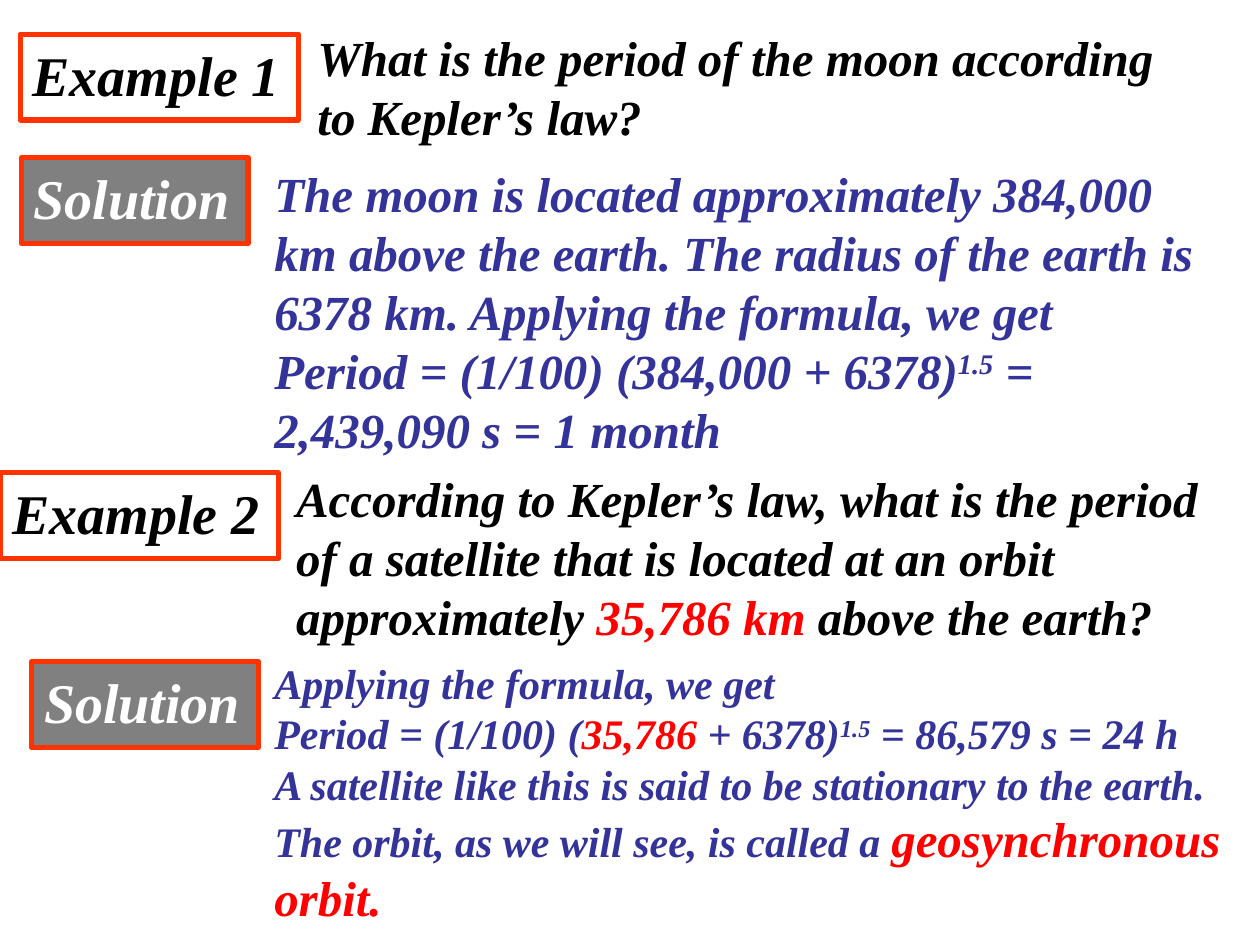
from pptx import Presentation
from pptx.dml.color import RGBColor
from pptx.enum import shapes, text
from pptx.util import Cm, Pt

BLACK = RGBColor(0, 0, 0)
WHITE = RGBColor(255, 255, 255)
GRAY = RGBColor(128, 128, 128)
ORANGE = RGBColor(255, 51, 0)
INDIGO = RGBColor(51, 51, 153)
RED = RGBColor(255, 0, 0)
FONT = "Times New Roman"
SUPERSCRIPT = "30000"
LABEL_HEIGHT = 1.73

LABELS = [
    ("Example 1", 0.41, 0.69, 5.61, WHITE, BLACK),
    ("Solution", 0.43, 3.18, 4.57, GRAY, WHITE),
    ("Example 2", 0, 9.53, 5.61, WHITE, BLACK),
    ("Solution", 0.64, 13.34, 4.57, GRAY, WHITE),
]

QUESTION_1 = [["What is the period of the moon according to Kepler’s law?"]]
ANSWER_1 = [
    ["The moon is located approximately 384,000 km above the earth. "
     "The radius of the earth is 6378 km. Applying the formula, we get"],
    ["Period = (1/100) (384,000 + 6378)", ("1.5", {"raised": True}),
     " = 2,439,090 s = 1 month"],
]
QUESTION_2 = [
    ["According to Kepler’s law, what is the period of a satellite "
     "that is located at an orbit approximately ",
     ("35,786 km", {"color": RED}), " above the earth?"],
]
ANSWER_2 = [
    ["Applying the formula, we get"],
    ["Period = (1/100) (", ("35,786", {"color": RED}), " + 6378)",
     ("1.5", {"raised": True}), " = 86,579 s = 24 h"],
    ["A satellite like this is said to be stationary to the earth. "
     "The orbit, as we will see, is called a ",
     ("geosynchronous orbit.", {"color": RED, "size": 28})],
]

PASSAGES = [
    (QUESTION_1, (6.15, 0.43, 17.98, 2.62), 28, BLACK),
    (ANSWER_1, (5.28, 3.18, 19.05, 6.2), 28, INDIGO),
    (QUESTION_2, (5.72, 9.32, 19.25, 3.81), 28, BLACK),
    (ANSWER_2, (5.28, 13.13, 19.69, 5.66), 24, INDIGO),
]


def write(frame, paragraphs, size, color):
    frame.vertical_anchor = text.MSO_ANCHOR.TOP
    frame.auto_size = text.MSO_AUTO_SIZE.SHAPE_TO_FIT_TEXT
    for index, pieces in enumerate(paragraphs):
        paragraph = frame.paragraphs[0] if index == 0 else frame.add_paragraph()
        paragraph.alignment = text.PP_ALIGN.LEFT
        font = paragraph.font
        font.name, font.size = FONT, Pt(size)
        font.bold = font.italic = True
        font.color.rgb = color
        for piece in pieces:
            words, style = (piece, {}) if isinstance(piece, str) else piece
            run = paragraph.add_run()
            run.text = words
            run.font.color.rgb = style.get("color", color)
            if "size" in style:
                run.font.size = Pt(style["size"])
            if style.get("raised"):
                run.font._element.set("baseline", SUPERSCRIPT)


def add_label(slide, words, left, top, width, fill, color):
    label = slide.shapes.add_shape(
        shapes.MSO_SHAPE.RECTANGLE, Cm(left), Cm(top), Cm(width), Cm(LABEL_HEIGHT))
    label.shadow.inherit = False
    label.fill.solid()
    label.fill.fore_color.rgb = fill
    label.line.color.rgb = ORANGE
    label.line.width = Pt(3)
    label.text_frame.word_wrap = False
    write(label.text_frame, [[words]], 32, color)


def add_passage(slide, paragraphs, place, size, color):
    passage = slide.shapes.add_textbox(*map(Cm, place))
    passage.text_frame.word_wrap = True
    write(passage.text_frame, paragraphs, size, color)


def main():
    deck = Presentation()
    deck.slide_width, deck.slide_height = Cm(25.4), Cm(19.05)
    slide = deck.slides.add_slide(deck.slide_layouts[6])
    for passage in PASSAGES:
        add_passage(slide, *passage)
    for label in LABELS:
        add_label(slide, *label)
    deck.save("out.pptx")


if __name__ == "__main__":
    main()
